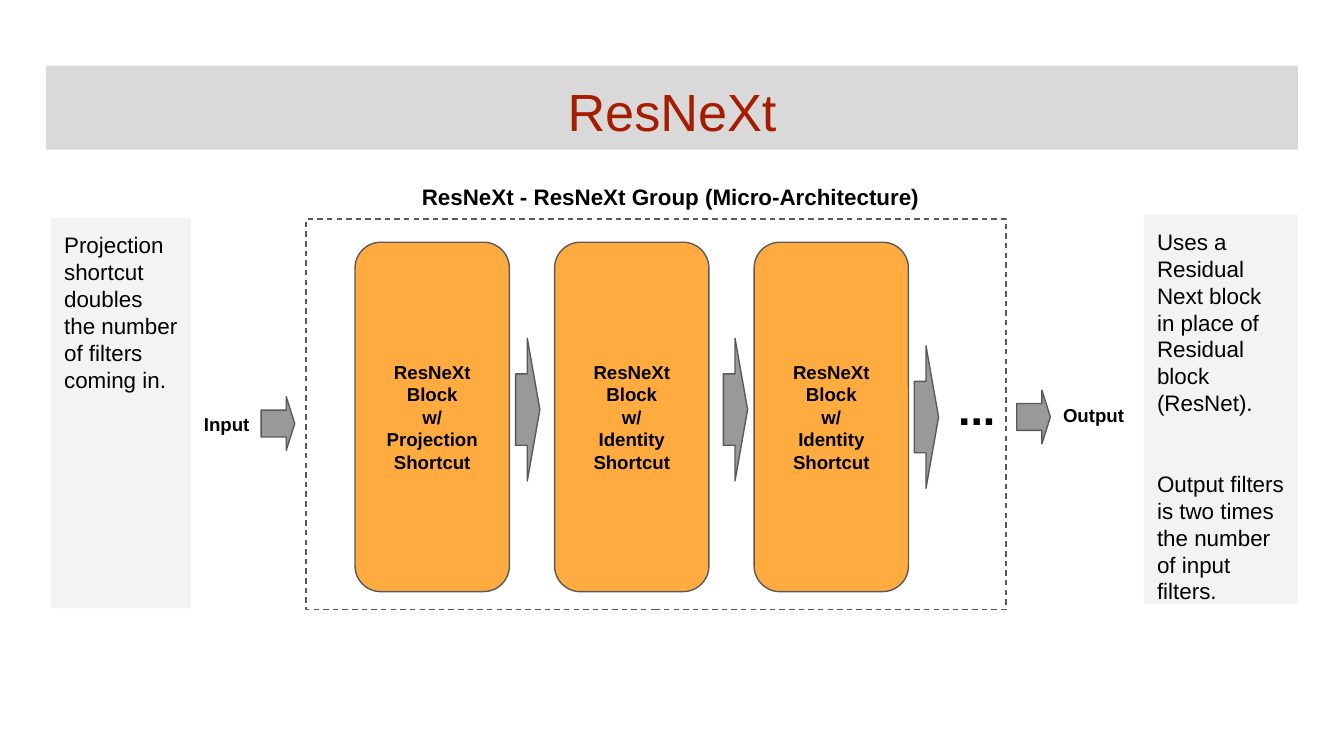
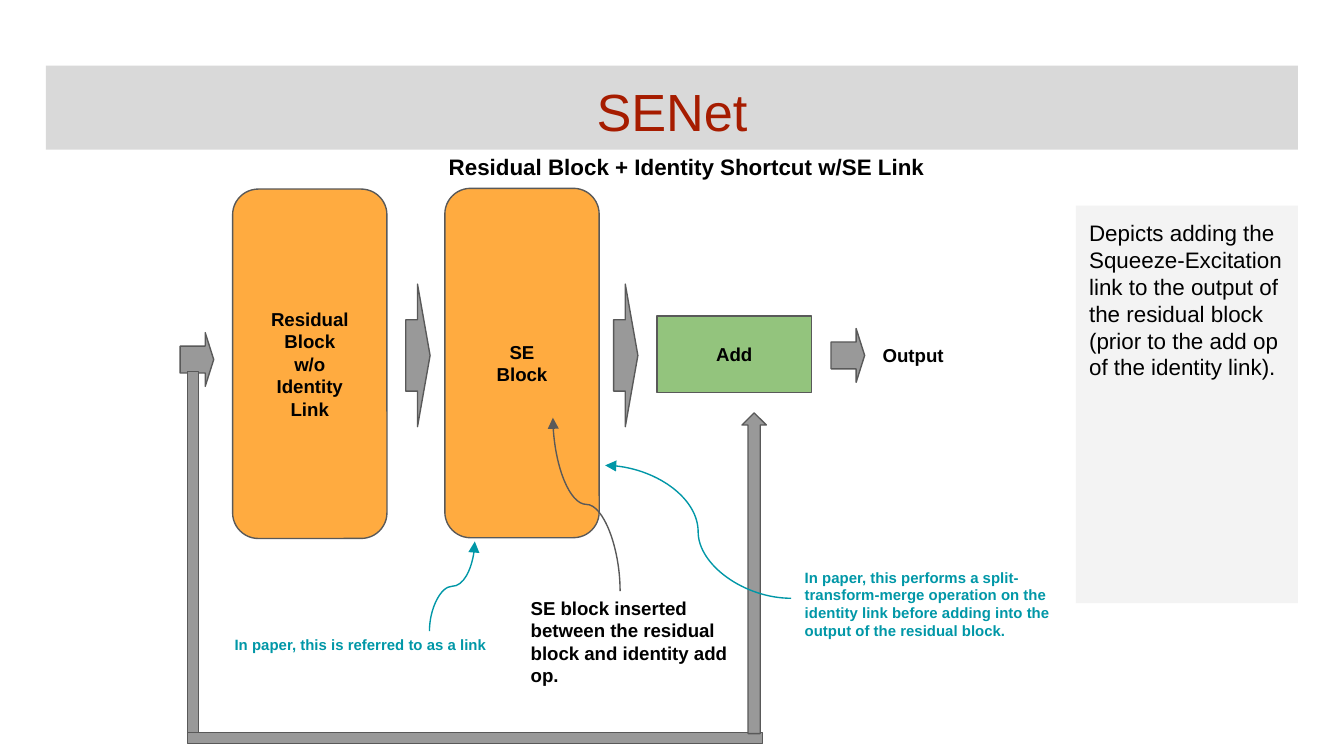
from lxml import etree
from pptx import Presentation
from pptx.dml.color import RGBColor
from pptx.enum.dml import MSO_LINE
from pptx.enum.shapes import MSO_CONNECTOR, MSO_SHAPE
from pptx.enum.text import MSO_ANCHOR, PP_ALIGN
from pptx.oxml.ns import qn
from pptx.util import Pt

RECT, ROUNDED = MSO_SHAPE.RECTANGLE, MSO_SHAPE.ROUNDED_RECTANGLE
DOWN_ARROW, UP_ARROW = MSO_SHAPE.DOWN_ARROW, MSO_SHAPE.UP_ARROW
CURVE, DASH = MSO_CONNECTOR.CURVE, MSO_LINE.DASH
LEFT, CENTER = PP_ALIGN.LEFT, PP_ALIGN.CENTER
TOP, MIDDLE = MSO_ANCHOR.TOP, MSO_ANCHOR.MIDDLE

FONT = "Arial"
COLORS = {
    "band": "D9D9D9", "title": "A61C00", "note": "F3F3F3", "text": "000000",
    "block": "FFAB40", "add": "93C47D", "arrow": "999999",
    "outline": "595959", "paper": "0097A7",
}
LINE_WIDTH = 0.75
BLOCK_W, BLOCK_H = 82.7, 187.2
# Flow arrows point right: (height, length, head ratio)
TALL, SMALL = (76.4, 13, 0.517), (28.8, 18, 0.253)


def add_box(slide, kind, frame, fill=None, outline=None):
    box = slide.shapes.add_shape(kind, *[Pt(v) for v in frame])
    box.shadow.inherit = False
    if fill:
        box.fill.solid()
        box.fill.fore_color.rgb = RGBColor.from_string(COLORS[fill])
    else:
        box.fill.background()
    if outline:
        box.line.color.rgb = RGBColor.from_string(COLORS[outline])
        box.line.width = Pt(LINE_WIDTH)
    else:
        box.line.fill.background()
    return box


def write(box, text, size, color="text", bold=True, align=LEFT, anchor=TOP, gap=0):
    frame = box.text_frame
    frame.word_wrap = True
    frame.vertical_anchor = anchor
    frame.margin_left = frame.margin_right = Pt(7.2)
    frame.margin_top = frame.margin_bottom = Pt(7.2)
    frame.text = text
    for index, paragraph in enumerate(frame.paragraphs):
        paragraph.alignment = align
        if index and gap:
            paragraph.space_before = Pt(gap)
        for run in paragraph.runs:
            run.font.name = FONT
            run.font.size = Pt(size)
            run.font.bold = bold
            run.font.color.rgb = RGBColor.from_string(COLORS[color])


prs = Presentation()
prs.slide_width, prs.slide_height = Pt(720), Pt(405)
blank = prs.slide_layouts[6]
resnext, senet = [prs.slides.add_slide(blank) for _ in range(2)]

# Title bands
for slide, title in ((resnext, "ResNeXt"), (senet, "SENet")):
    band = add_box(slide, RECT, (24.6, 35.2, 670.8, 45), "band")
    write(band, title, 28, "title", bold=False, align=CENTER)

# Side notes
side_notes = [
    (resnext, (27.3, 116.8, 75, 209),
     "Projection shortcut doubles the number of filters coming in."),
    (resnext, (612.8, 115, 82.6, 209),
     "Uses a Residual Next block in place of Residual block (ResNet).\n"
     "Output filters is two times the number of input filters."),
    (senet, (576.4, 110.2, 119, 213),
     "Depicts adding the Squeeze-Excitation link to the output of the "
     "residual block (prior to the add op of the identity link)."),
]
for slide, frame, note in side_notes:
    write(add_box(slide, RECT, frame, "note"), note, 12, bold=False, gap=28.8)

# Dashed outline of the ResNeXt group
group_outline = add_box(resnext, RECT, (164, 117.4, 375, 209), outline="outline")
group_outline.line.dash_style = DASH

# Blocks
blocks = [(senet, 124.6, 101.3, "Residual\nBlock\nw/o\nIdentity\nLink"),
          (senet, 238.3, 100.9, "SE\vBlock")]
for column, shortcut in enumerate(("Projection", "Identity", "Identity")):
    blocks.append((resnext, 190.2 + 106.9 * column, 129.8,
                   f"ResNeXt\nBlock\nw/\n{shortcut}\nShortcut"))
for slide, left, top, name in blocks:
    block = add_box(slide, ROUNDED, (left, top, BLOCK_W, BLOCK_H), "block", "outline")
    write(block, name, 10, align=CENTER, anchor=MIDDLE)

add_op = add_box(senet, RECT, (352, 169.3, BLOCK_W, 41), "add", "outline")
write(add_op, "Add", 10, align=CENTER, anchor=MIDDLE)

# Flow arrows, placed by their centres
flow_arrows = [
    (resnext, SMALL, 148.9, 226.9), (resnext, TALL, 282.7, 219.4),
    (resnext, TALL, 394, 219.4), (resnext, TALL, 496.3, 223.4),
    (resnext, SMALL, 553.7, 223.4),
    (senet, SMALL, 105.5, 192.6), (senet, TALL, 223.9, 190.4),
    (senet, TALL, 335.2, 190.4), (senet, SMALL, 454.2, 190.4),
]
for slide, (height, length, head), center_x, center_y in flow_arrows:
    frame = (center_x - height / 2, center_y - length / 2, height, length)
    arrow = add_box(slide, DOWN_ARROW, frame, "arrow", "outline")
    arrow.rotation = 270
    arrow.adjustments[0] = 0.5
    arrow.adjustments[1] = head

# Identity link around the residual and SE blocks
for kind, frame in ((RECT, (100.4, 199.2, 5.8, 193.6)),
                    (RECT, (100.4, 392.6, 308.2, 5.6)),
                    (UP_ARROW, (397.5, 221.2, 13, 171.8))):
    add_box(senet, kind, frame, "arrow", "outline")

# Captions and labels
labels = [
    (resnext, (218.9, 90.7, 319.7, 31), 12, "text",
     "ResNeXt - ResNeXt Group (Micro-Architecture)"),
    (resnext, (506.2, 196.6, 112.3, 38.9), 24, "text", "..."),
    (resnext, (102.2, 215.3, 43.9, 23), 10, "text", "Input"),
    (resnext, (562.4, 210.2, 49.7, 23), 10, "text", "Output"),
    (senet, (233.3, 75, 281.5, 31), 12, "text",
     "Residual Block + Identity Shortcut w/SE Link"),
    (senet, (465.8, 178.4, 49.7, 23), 10, "text", "Output"),
    (senet, (118.6, 335.5, 152.6, 23), 8, "paper",
     "In paper, this is referred to as a link"),
    (senet, (277.2, 312.5, 131, 64.8), 10, "text",
     "SE block inserted between the residual block and identity add op."),
    (senet, (424, 297.2, 152.6, 52.6), 8, "paper",
     "In paper, this performs a split-transform-merge operation on the identity "
     "link before adding into the output of the residual block."),
]
for slide, frame, size, color, text in labels:
    write(slide.shapes.add_textbox(*[Pt(v) for v in frame]), text, size, color)

# Curved pointers to the SE block: ends before turning, then the turn in degrees
pointers = [
    ((218.2, 301.9, 266.2, 326.2), 270, "paper"),
    ((360.7, 252.2, 267.8, 288.2), 90, "outline"),
    ((324.2, 249.3, 423.8, 320.5), 180, "paper"),
]
for ends, turn, color in pointers:
    pointer = senet.shapes.add_connector(CURVE, *[Pt(v) for v in ends])
    pointer.line.color.rgb = RGBColor.from_string(COLORS[color])
    pointer.line.width = Pt(LINE_WIDTH)
    properties = pointer._element.spPr
    properties.find(qn("a:xfrm")).set("rot", str(turn * 60000))
    etree.SubElement(properties.find(qn("a:ln")), qn("a:tailEnd"), type="triangle")
    etree.SubElement(properties, qn("a:effectLst"))

prs.save("out.pptx")
